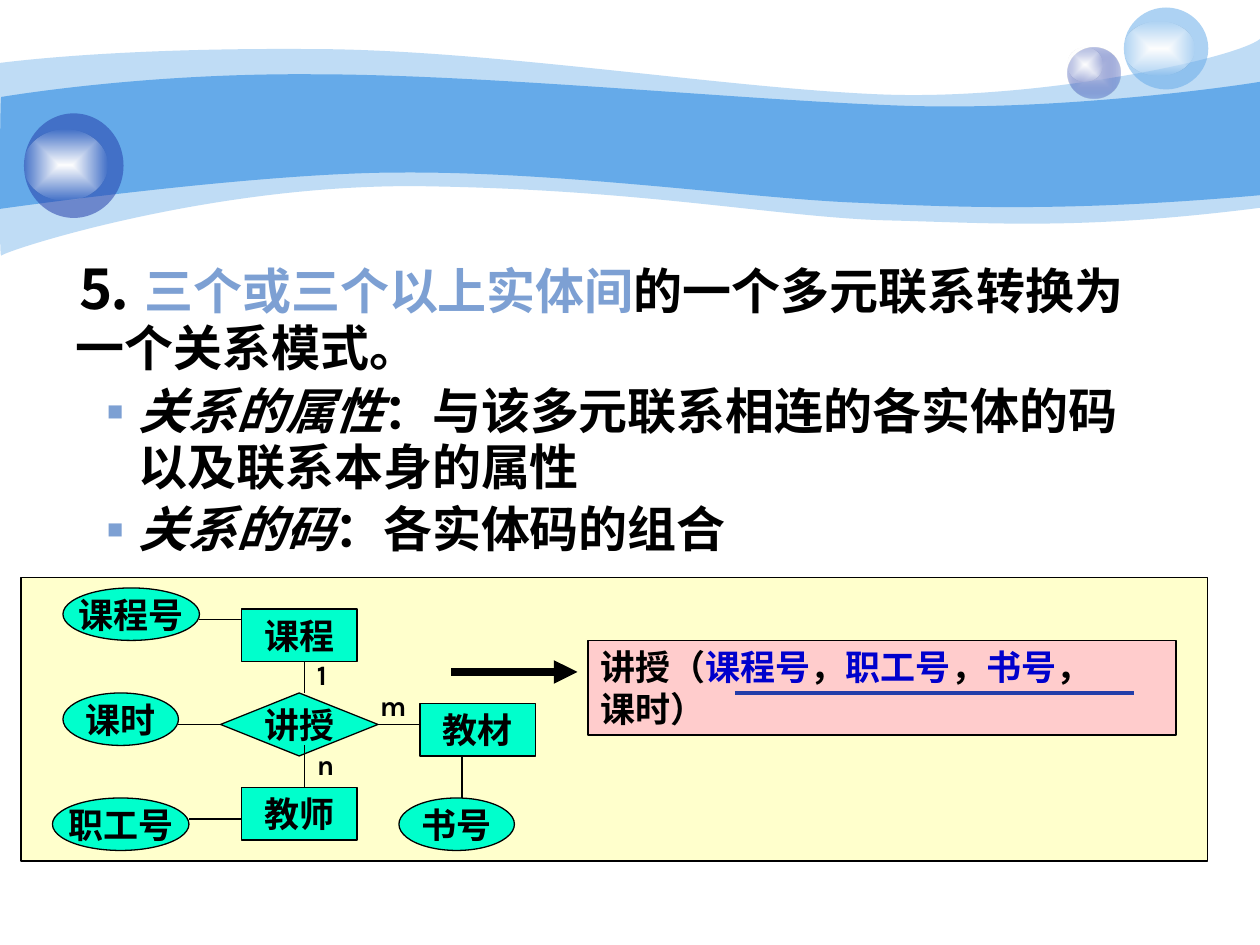
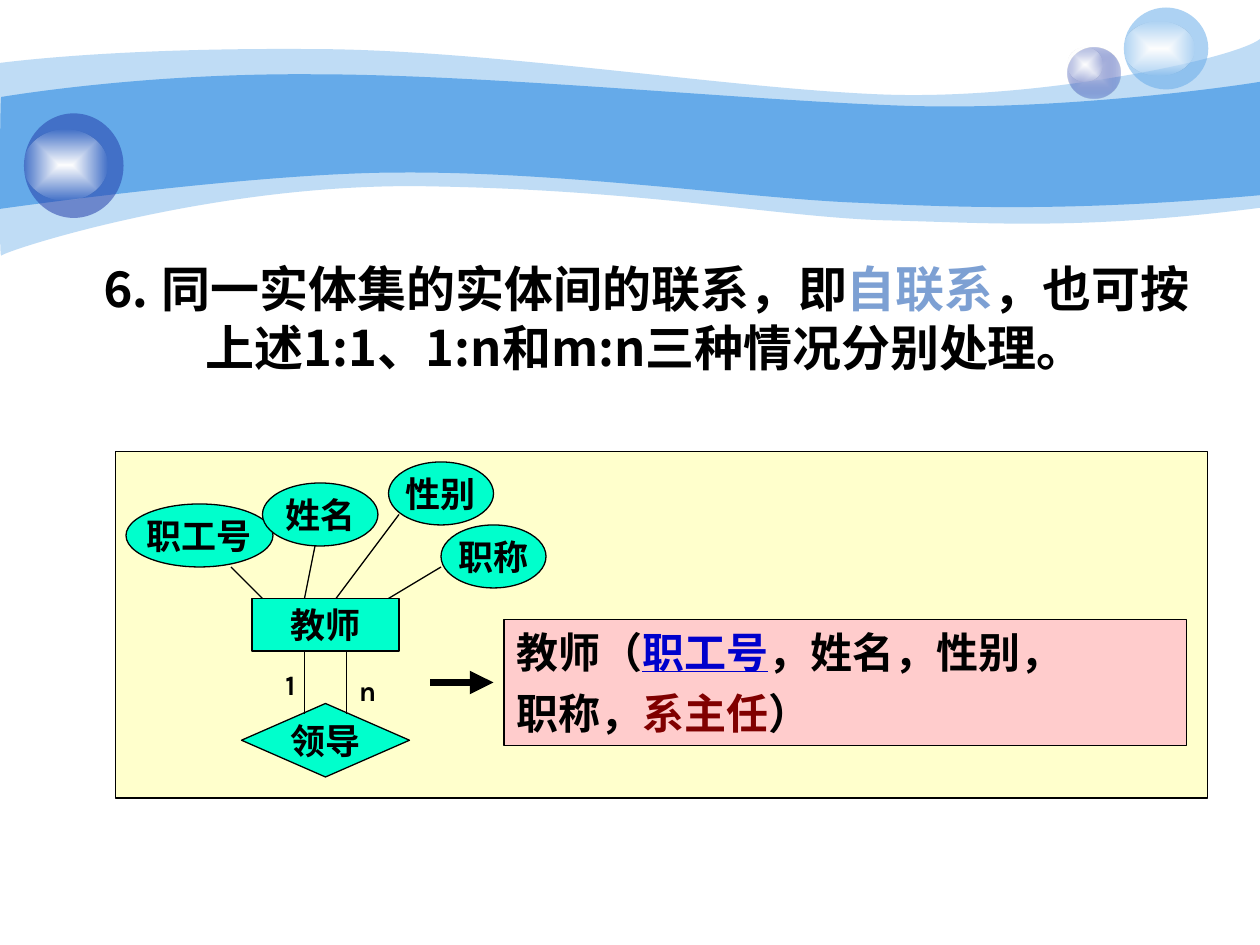
from dataclasses import dataclass

from lxml.etree import SubElement
from pptx import Presentation
from pptx.dml.color import RGBColor
from pptx.enum.shapes import MSO_CONNECTOR, MSO_SHAPE
from pptx.enum.text import MSO_ANCHOR, MSO_AUTO_SIZE, PP_ALIGN
from pptx.oxml import parse_xml
from pptx.oxml.ns import nsdecls, qn
from pptx.util import Inches, Pt


@dataclass(frozen=True)
class Theme:
    band: str = "65AAE9"
    accent: str = "233DA9"
    highlight: str = "7DA0D3"
    ink: str = "000000"
    panel: str = "FFFFCC"
    node: str = "00FFCC"
    relation: str = "FFCCCC"
    key: str = "0000CC"
    foreign_key: str = "800000"
    body_font: str = "Noto Sans CJK SC"
    diagram_font: str = "Karla"
    number_size: int = 32
    body_size: int = 28
    relation_size: int = 24
    node_size: int = 20
    label_size: int = 16
    thin: float = 0.75
    underline: float = 2.25
    thick: float = 4.5


THEME = Theme()

# Wave outlines in inches: a start point, then curves (three points) and lines (one point)
WIDE_WAVE = [
    (0, 0.5),
    [(0.24, 0.47), (1.07, 0.38), (2.47, 0.39)],
    [(3.86, 0.39), (5.75, 0.7), (6.99, 0.75)],
    [(8.22, 0.8), (9.8, 0.47), (10, 0.31)],
    [(10, 1.65)],
    [(8.58, 1.83), (7.87, 1.77), (7.05, 1.75)],
    [(6.22, 1.73), (5.15, 1.51), (3.43, 1.48)],
    [(1.72, 1.44), (0.04, 1.99), (0.01, 2.03)],
    [(-0.01, 2.08), (0, 0.75), (0, 0.5)],
]
NARROW_WAVE = [
    (0.01, 0.77),
    [(0.02, 0.77), (1.1, 0.58), (2.48, 0.59)],
    [(3.86, 0.59), (5.95, 0.8), (7.18, 0.84)],
    [(8.41, 0.88), (9.76, 0.69), (10, 0.65)],
    [(10, 1.55)],
    [(8.53, 1.68), (7.65, 1.65), (6.82, 1.61)],
    [(5.99, 1.58), (4.47, 1.36), (3.17, 1.37)],
    [(2.03, 1.37), (-0.02, 1.66), (-0.01, 1.66)],
    [(0, 1.66), (0, 0.77), (0.01, 0.77)],
]


def grid(units):
    """The slide is a grid of 120 columns and 90 rows, twelve to the inch."""
    return Inches(units / 12)


def color(value):
    return RGBColor.from_string(value)


# Fills and lines
def fill_solid(shape, value, opacity=100):
    shape.fill.solid()
    shape.fill.fore_color.rgb = color(value)
    if opacity < 100:
        node = shape._element.spPr.find(qn("a:solidFill"))[0]
        SubElement(node, qn("a:alpha"), val=str(opacity * 1000))


def fill_glow(shape, inner, outer, outer_opacity):
    fill = parse_xml(
        f'<a:gradFill {nsdecls("a")} rotWithShape="1"><a:gsLst>'
        f'<a:gs pos="0"><a:srgbClr val="{inner}"/></a:gs>'
        f'<a:gs pos="100000"><a:srgbClr val="{outer}">'
        f'<a:alpha val="{outer_opacity * 1000}"/></a:srgbClr></a:gs></a:gsLst>'
        '<a:path path="rect"><a:fillToRect l="50000" t="50000" r="50000" b="50000"/>'
        '</a:path></a:gradFill>')
    shape._element.spPr.find(qn("a:prstGeom")).addnext(fill)


def outline(shape):
    shape.line.color.rgb = color(THEME.ink)
    shape.line.width = Pt(THEME.thin)


# Shared background
def add_wave(slide, outline_points, opacity):
    """Lay the points out in hundredths of an inch, then join each three into a curve."""
    start, *segments = [
        [(round(x * 100), round(y * 100)) for x, y in (part if isinstance(part, list) else [part])]
        for part in outline_points]
    builder = slide.shapes.build_freeform(*start[0], scale=Inches(1) / 100)
    builder.add_line_segments([point for segment in segments for point in segment], close=False)
    wave = builder.convert_to_shape()
    lines = iter(wave._element.findall(".//" + qn("a:lnTo")))
    for segment in segments:
        pieces = [next(lines) for _ in segment]
        if len(pieces) == 3:
            curve = parse_xml(f'<a:cubicBezTo {nsdecls("a")}/>')
            pieces[0].addprevious(curve)
            for piece in pieces:
                curve.append(piece[0])
                piece.getparent().remove(piece)
    SubElement(curve.getparent(), qn("a:close"))
    wave.shadow.inherit = False
    wave.line.fill.background()
    fill_solid(wave, THEME.band, opacity)


def add_ball(slide, *box):
    ball = slide.shapes.add_shape(MSO_SHAPE.OVAL, *map(Inches, box))
    ball.shadow.inherit = False
    ball.line.fill.background()
    return ball


def add_background(slide, layout):
    """Draw the waves and balls, then move them to the layout that all slides share."""
    add_wave(slide, WIDE_WAVE, 41)
    add_wave(slide, NARROW_WAVE, 100)
    fill_glow(add_ball(slide, 8.47, 0.38, 0.42, 0.4), "C6CCE8", THEME.accent, 31)
    fill_solid(add_ball(slide, 8.92, 0.06, 0.67, 0.65), THEME.band, 53)
    fill_solid(add_ball(slide, 0.19, 0.9, 0.79, 0.83), THEME.accent, 53)
    for glow in [(8.47, 0.38, 0.28, 0.27), (8.92, 0.17, 0.56, 0.43), (0.19, 1.03, 0.66, 0.56)]:
        fill_glow(add_ball(slide, *glow), "FFFFFF", "FEFEFE", 0)
    drawn = [shape for shape in slide.shapes if not shape.is_placeholder]
    for index, shape in enumerate(drawn):
        shape._element.xpath(".//p:cNvPr")[0].set("id", str(100 + index))
        layout.shapes.element.insert(2 + index, shape._element)


# Text
def add_run(paragraph, text, font_name, size, ink=THEME.ink, **extra):
    run = paragraph.add_run()
    run.text = text
    formats = {"name": font_name, "size": Pt(size), "bold": True, **extra}
    for name, value in formats.items():
        setattr(run.font, name, value)
    run.font.color.rgb = color(ink)
    SubElement(run._r.get_or_add_rPr(), qn("a:ea"), typeface=font_name)


def write(shape, paragraphs, font_name, size, wrap=True, anchor=MSO_ANCHOR.TOP, **formats):
    """Each paragraph is a list of (text, run formats)."""
    frame = shape.text_frame
    frame.auto_size = MSO_AUTO_SIZE.NONE
    frame.word_wrap = wrap
    frame.vertical_anchor = anchor
    for index, runs in enumerate(paragraphs):
        paragraph = frame.add_paragraph() if index else frame.paragraphs[0]
        for name, value in formats.items():
            setattr(paragraph, name, value)
        if not index:
            paragraph.space_before = Pt(0)
        for text, run_formats in runs:
            add_run(paragraph, text, font_name, **{"size": size, **run_formats})
    return frame.paragraphs


def set_indent(paragraph, margin, first, bullet=None):
    properties = paragraph._p.get_or_add_pPr()
    properties.set("marL", str(grid(margin)))
    properties.set("indent", str(grid(first)))
    if bullet:
        bullet_color = SubElement(properties, qn("a:buClr"))
        SubElement(bullet_color, qn("a:srgbClr"), val=THEME.highlight)
        SubElement(properties, qn("a:buSzPct"), val="55000")
        SubElement(properties, qn("a:buChar"), char=bullet)
    else:
        SubElement(properties, qn("a:buNone"))


def add_body(slide, box, paragraphs, **formats):
    body = slide.placeholders[1]
    for name, value in zip(("left", "top", "width", "height"), box):
        setattr(body, name, grid(value))
    heading, *items = write(body, paragraphs, THEME.body_font, THEME.body_size, **formats)
    set_indent(heading, 0, 0)
    for item in items:
        item.level = 1
        set_indent(item, 6, -3, "■")


# Diagram parts, placed in grid units
def add_box(slide, kind, box, fill):
    shape = slide.shapes.add_shape(kind, *map(grid, box))
    shape.shadow.inherit = False
    fill_solid(shape, fill)
    outline(shape)
    return shape


def add_nodes(slide, nodes):
    shapes = {}
    for text, kind, *box in nodes:
        shapes[text] = add_box(slide, kind, box, THEME.node)
        write(shapes[text], [[(text, {})]], THEME.diagram_font, THEME.node_size, wrap=False,
              anchor=MSO_ANCHOR.MIDDLE, alignment=PP_ALIGN.CENTER)
    return shapes


def add_relation(slide, box, paragraphs, size, gap=0):
    shape = add_box(slide, MSO_SHAPE.RECTANGLE, box, THEME.relation)
    write(shape, paragraphs, THEME.diagram_font, size, anchor=MSO_ANCHOR.MIDDLE,
          alignment=PP_ALIGN.LEFT, space_before=Pt(gap))


def add_labels(slide, width, labels):
    for text, left, top in labels:
        label = slide.shapes.add_textbox(*map(grid, (left, top, width, 4.4)))
        write(label, [[(text, {})]], THEME.diagram_font, THEME.label_size)


def add_line(slide, ends, ink=THEME.ink, width=THEME.thin, arrow=False):
    line = slide.shapes.add_connector(MSO_CONNECTOR.STRAIGHT, *map(grid, ends))
    line.line.color.rgb = color(ink)
    line.line.width = Pt(width)
    if arrow:
        SubElement(line.line._get_or_add_ln(), qn("a:tailEnd"), type="triangle")
    SubElement(line._element.spPr, qn("a:effectLst"))
    return line


def add_slide(presentation, layout):
    slide = presentation.slides.add_slide(layout)
    title = slide.shapes.title._element
    title.getparent().remove(title)
    return slide


def build_multiway_slide(slide):
    add_body(slide, (6, 24, 105, 29.8), [
        [("⒌ ", {"size": THEME.number_size}),
         ("三个或三个以上实体间", {"ink": THEME.highlight}),
         ("的一个多元联系转换为一个关系模式。", {})],
        [("关系的属性", {"italic": True}),
         ("：与该多元联系相连的各实体的码以及联系本身的属性", {})],
        [("关系的码", {"italic": True}), ("：各实体码的组合", {})],
    ], line_spacing=0.95, space_before=Pt(1.8), space_after=Pt(1.8))

    add_box(slide, MSO_SHAPE.RECTANGLE, (2, 55, 113, 27), THEME.panel)
    nodes = add_nodes(slide, [
        ("课程", MSO_SHAPE.RECTANGLE, 23, 58, 11, 5),
        ("教师", MSO_SHAPE.RECTANGLE, 23, 75, 11, 5),
        ("教材", MSO_SHAPE.RECTANGLE, 40, 67, 11, 5),
        ("讲授", MSO_SHAPE.FLOWCHART_DECISION, 21, 66, 15, 6),
        ("课程号", MSO_SHAPE.OVAL, 6, 56, 13, 5),
        ("职工号", MSO_SHAPE.OVAL, 5, 76, 13, 5),
        ("书号", MSO_SHAPE.OVAL, 38, 76, 11, 5),
        ("课时", MSO_SHAPE.OVAL, 6, 66, 11, 5),
    ])
    for ends in [(29, 63, 29, 66), (29, 71, 29, 75), (44, 72, 44, 76),
                 (19, 59, 23, 59), (18, 78, 23, 78)]:
        add_line(slide, ends)
    add_line(slide, (36, 69, 40, 69)).begin_connect(nodes["讲授"], 3)
    add_line(slide, (17, 69, 21, 69)).end_connect(nodes["讲授"], 1)
    add_labels(slide, 6, [("n", 29, 70.6), ("1", 29, 62), ("m", 35, 65)])

    # Resulting relation with its underlined key
    add_line(slide, (43, 64, 55, 64), width=THEME.thick, arrow=True)
    key = {"ink": THEME.key}
    add_relation(slide, (56, 61, 56, 9), [
        [("讲授（", {}), ("课程号", key), ("，", {}), ("职工号", key), ("，", {}),
         ("书号", key), ("，", {})],
        [("课时）", {})],
    ], THEME.node_size)
    add_line(slide, (70, 66, 108, 66), THEME.accent, THEME.underline)


def build_self_relation_slide(slide):
    add_body(slide, (8, 24, 107, 12.5), [
        [("⒍ ", {}), ("同一实体集的实体间的联系，即", {}),
         ("自联系", {"ink": THEME.highlight}),
         ("，也可按上述1:1、1:n和m:n三种情况分别处理。", {})],
    ], alignment=PP_ALIGN.CENTER)

    add_box(slide, MSO_SHAPE.RECTANGLE, (11, 43, 104, 33), THEME.panel)
    add_nodes(slide, [
        ("教师", MSO_SHAPE.RECTANGLE, 24, 57, 14, 5),
        ("领导", MSO_SHAPE.DIAMOND, 23, 67, 16, 7),
        ("职工号", MSO_SHAPE.OVAL, 12, 48, 14, 6),
        ("姓名", MSO_SHAPE.OVAL, 25, 46, 11, 6),
        ("性别", MSO_SHAPE.OVAL, 37, 44, 10, 6),
        ("职称", MSO_SHAPE.OVAL, 42, 50, 10, 6),
    ])
    for ends in [(29, 62, 29, 68), (33, 62, 33, 68), (22, 54, 25, 57),
                 (30, 52, 29, 57), (38, 49, 32, 57), (42, 54, 37, 57)]:
        add_line(slide, ends)
    add_labels(slide, 4, [("1", 26, 63), ("n", 33, 63.6)])

    # Resulting relation
    add_line(slide, (41, 65, 47, 65), width=THEME.thick, arrow=True)
    add_relation(slide, (48, 59, 65, 12), [
        [("教师（", {}), ("职工号", {"ink": THEME.key, "underline": True}),
         ("，姓名，性别，", {})],
        [("职称，", {}), ("系主任", {"ink": THEME.foreign_key}), ("）", {})],
    ], THEME.relation_size, gap=6)


def main():
    presentation = Presentation()
    presentation.slide_width, presentation.slide_height = grid(120), grid(90)
    layout = presentation.slide_layouts[1]
    first, second = (add_slide(presentation, layout) for _ in range(2))
    add_background(first, layout)
    build_multiway_slide(first)
    build_self_relation_slide(second)
    presentation.save("out.pptx")


if __name__ == "__main__":
    main()
